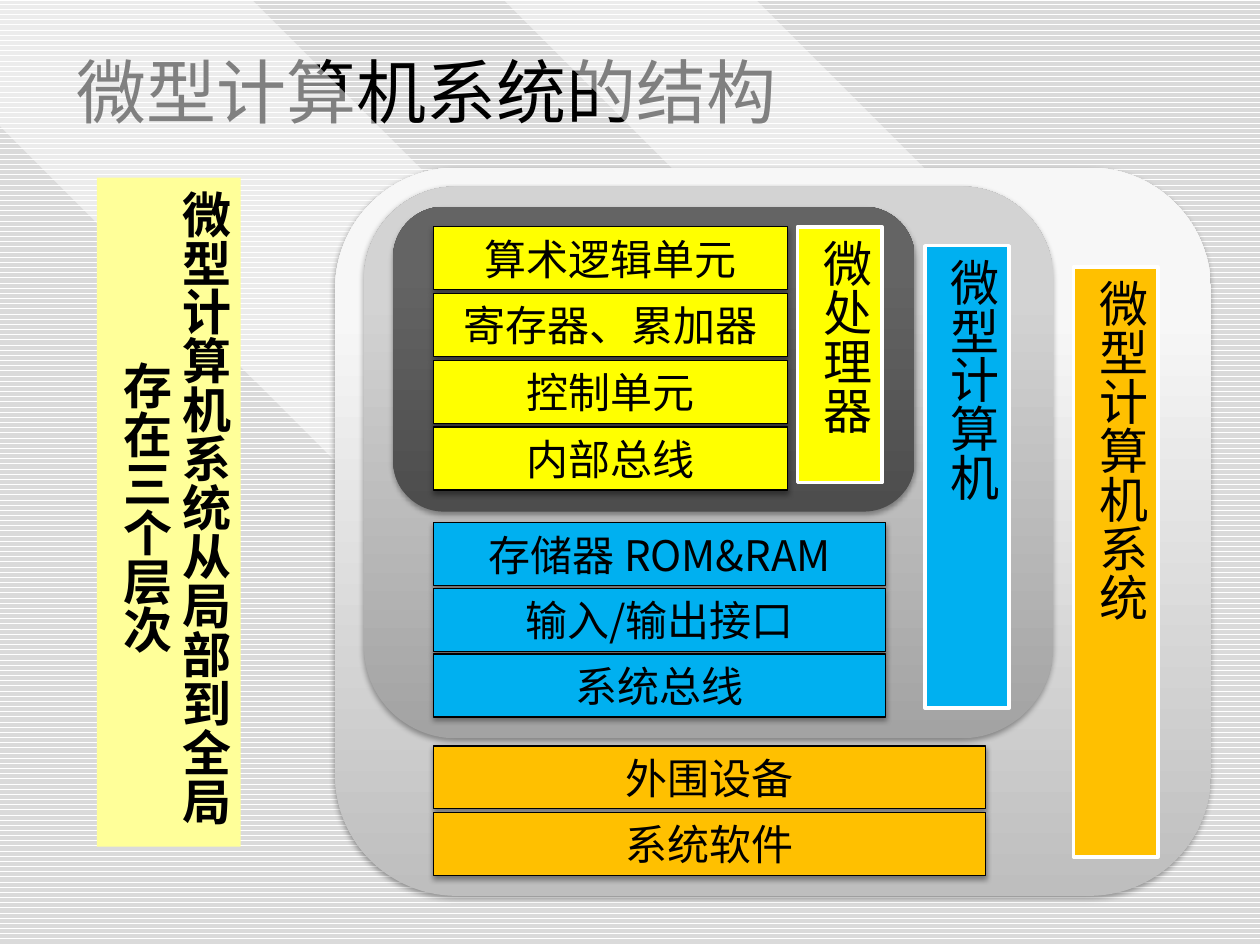
from dataclasses import dataclass

from lxml.etree import SubElement
from pptx import Presentation
from pptx.dml.color import RGBColor
from pptx.enum.dml import MSO_PATTERN
from pptx.enum.shapes import MSO_SHAPE
from pptx.enum.text import MSO_ANCHOR, PP_ALIGN
from pptx.oxml import parse_xml
from pptx.oxml.ns import nsdecls, qn
from pptx.util import Inches, Pt


@dataclass(frozen=True)
class Theme:
    font: str = "Noto Sans CJK SC"
    ink: str = "000000"
    white: str = "FFFFFF"
    stripe: str = "DADADA"
    note: str = "FFFF99"
    cpu: str = "FFFF00"
    computer: str = "00B0F0"
    system: str = "FFC000"
    title: int = 40
    label: int = 28
    row: int = 24


theme = Theme()
rgb = RGBColor.from_string


def write(frame, text, size, align=PP_ALIGN.CENTER, bold=False, upright=False):
    """Fill a frame; upright text runs down the page in columns."""
    frame.word_wrap = True
    frame.vertical_anchor = MSO_ANCHOR.TOP if upright else MSO_ANCHOR.MIDDLE
    if upright:
        frame._txBody.bodyPr.set("vert", "eaVert")
    para = frame.paragraphs[0]
    para.text = text
    para.alignment = align
    font = para.font
    font.name, font.size, font.bold = theme.font, Pt(size), bold
    font.color.rgb = rgb(theme.ink)
    SubElement(font._element, qn("a:ea")).set("typeface", theme.font)


def block(kind, at, fill, edge=None, width=0.75, shade=0):
    """Add a shape; two fill colours give a gradient, shade is the shadow's percent."""
    shape = slide.shapes.add_shape(kind, *(Inches(n) for n in at))
    if isinstance(fill, tuple):
        shape.fill.gradient()
        shape.fill.gradient_angle = 90
        for stop, color, place in zip(shape.fill.gradient_stops, fill, (0, 0.8)):
            stop.color.rgb = rgb(color)
            stop.position = place
    else:
        shape.fill.solid()
        shape.fill.fore_color.rgb = rgb(fill)
    if edge:
        shape.line.color.rgb = rgb(edge)
        shape.line.width = Pt(width)
    else:
        shape.line.fill.background()
    shape.shadow.inherit = False
    if shade:
        effects = shape._element.spPr.find(qn("a:effectLst"))
        effects.append(parse_xml(
            f'<a:outerShdw {nsdecls("a")} blurRad="{Pt(3.1)}" dist="{Pt(1.7)}" '
            f'dir="5400000" rotWithShape="0"><a:srgbClr val="{theme.ink}">'
            f'<a:alpha val="{shade * 1000}"/></a:srgbClr></a:outerShdw>'))
    return shape


deck = Presentation()
deck.slide_width, deck.slide_height = Inches(10), Inches(7.5)
slide = deck.slides.add_slide(deck.slide_layouts[5])

back = slide.background.fill
back.patterned()
back.pattern = MSO_PATTERN.DARK_HORIZONTAL
back.fore_color.rgb = rgb(theme.stripe)
back.back_color.rgb = rgb(theme.white)

# Diagonal beams of light
beams = [
    [(6.7, 5.93), (0.79, 0), (0, 0), (0, 0.84), (5.89, 6.75)],
    [(2.14, 0), (7.38, 5.27), (7.06, 5.59), (1.49, 0)],
    [(4.89, 0), (8.76, 3.89), (8.21, 4.44), (3.8, 0)],
    [(5.3, 0), (8.97, 3.68), (9.27, 3.38), (5.91, 0)],
]
for first, *rest in beams:
    pen = slide.shapes.build_freeform(*first, scale=Inches(1))
    pen.add_line_segments(rest, close=True)
    beam = pen.convert_to_shape()
    beam.fill.solid()
    beam.fill.fore_color.rgb = rgb(theme.white)
    color = beam._element.spPr.find(qn("a:solidFill"))[0]
    SubElement(color, qn("a:alpha")).set("val", "50000")
    beam.line.fill.background()
    beam.shadow.inherit = False

# Nested layers, outermost first
layers = [
    ((2.66, 1.33, 6.95, 5.78), ("BEBEBE", "F7F7F7")),
    ((2.89, 1.48, 5.47, 4.38), ("A3A3A3", "D3D3D3")),
    ((3.12, 1.64, 4.14, 2.42), ("4D4D4D", "646464")),
]
for at, fill in layers:
    block(MSO_SHAPE.ROUNDED_RECTANGLE, at, fill, shade=35)

title = slide.shapes.title
title.left, title.top = Inches(0.51), Inches(0.35)
title.width, title.height = Inches(6.28), Inches(0.74)
write(title.text_frame, "微型计算机系统的结构", theme.title, PP_ALIGN.LEFT)

# Each group: colour, top of rows, step, row width, rows, label, label place
groups = [
    (theme.cpu, 1.8, 0.53, 2.81,
     ["算术逻辑单元", "寄存器、累加器", "控制单元", "内部总线"],
     "微处理器", (6.33, 1.8, 0.67, 2.03)),
    (theme.computer, 4.15, 0.52, 3.59,
     ["存储器 ROM&RAM", "输入/输出接口", "系统总线"],
     "微型计算机", (7.34, 1.95, 0.67, 3.67)),
    (theme.system, 5.92, 0.53, 4.38,
     ["外围设备", "系统软件"],
     "微型计算机系统", (8.52, 2.12, 0.67, 4.68)),
]
for fill, top, step, width, rows, label, at in groups:
    for i, text in enumerate(rows):
        row = block(MSO_SHAPE.RECTANGLE, (3.44, top + i * step, width, 0.5),
                    fill, theme.ink, shade=38)
        write(row.text_frame, text, theme.row)
    side = block(MSO_SHAPE.RECTANGLE, at, fill, theme.white, 2)
    write(side.text_frame, label, theme.label, PP_ALIGN.LEFT, upright=True)

note = block(MSO_SHAPE.RECTANGLE, (0.77, 1.41, 1.14, 5.31), theme.note)
write(note.text_frame, "微型计算机系统从局部到全局存在三个层次", theme.label,
      bold=True, upright=True)

deck.save("out.pptx")
